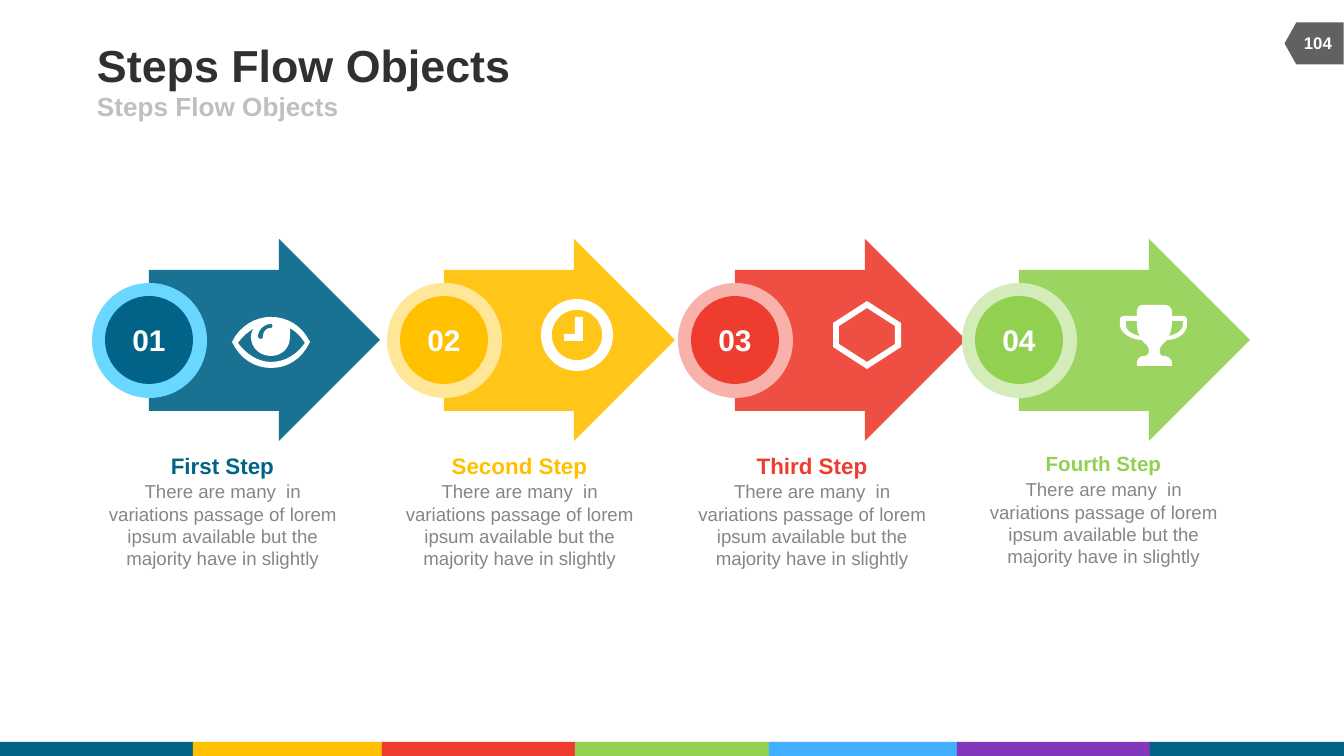
import pptx
import pptx.dml.color
import pptx.enum.shapes
import pptx.enum.text
import pptx.oxml.ns
import pptx.util
from lxml import etree

SCALE = 914400 / 134.4  # EMU in one px
FONT = "Arial"
SHAPE = pptx.enum.shapes.MSO_SHAPE
ALIGN = pptx.enum.text.PP_ALIGN
ANCHOR = pptx.enum.text.MSO_ANCHOR

COLORS = {
    "teal": "006387", "amber": "FFC000", "red": "EE3C2E", "green": "92D050",
    "blue": "40AFFF", "purple": "8238BA", "white": "FFFFFF", "tag": "616161",
    "title": "303030", "subtitle": "BFBFBF", "body": "868686",
    "teal_ring": "69D7FF", "amber_ring": "FFE699",
    "red_ring": "F8B1AB", "green_ring": "D3ECB9",
}

STRIPES = [(0, "teal"), (193, "amber"), (382, "red"), (575, "green"),
           (769, "blue"), (957, "purple"), (1150, "teal")]

BODY = ("There are many  in variations passage of lorem ipsum available "
        "but the majority have in slightly")

# Color, arrow left, heading, heading width and size, caption left, top, width
STEPS = [
    ("teal", 149, "First Step", 105, 12, 103, 480, 239),
    ("amber", 444, "Second Step", 137, 12, 402, 480, 235),
    ("red", 735, "Third Step", 112, 12, 697, 480, 230),
    ("green", 1019, "Fourth Step", 117, 11, 985, 478, 237),
]

# Contours: a start point, then points (lines) or control triples (curves)
EYE = [
    [(310, 342), (302, 359, 288, 368, 271, 368), (255, 368, 240, 359, 232, 342),
     (240, 326, 255, 317, 271, 317), (288, 317, 302, 326, 310, 342)],
    [(289, 328), (291, 330, 290, 334, 290, 337), (290, 348, 282, 356, 271, 356),
     (260, 356, 251, 348, 251, 337), (251, 334, 252, 330, 255, 328),
     (249, 331, 242, 337, 238, 343), (246, 354, 258, 362, 271, 362),
     (286, 362, 297, 354, 305, 343), (301, 337, 296, 331, 289, 328)],
    [(271, 324), (265, 324, 258, 329, 258, 337), (258, 338, 260, 339, 261, 339),
     (262, 339, 263, 338, 263, 337), (263, 332, 266, 328, 271, 328),
     (273, 328, 273, 324, 271, 324)],
]
CLOCK_HANDS = [[(575, 317), (583, 317), (583, 341),
                (564, 341), (564, 334), (575, 334)]]
HEXAGON = [
    [(867, 301), (901, 323), (901, 347), (867, 369), (833, 347), (833, 323)],
    [(867, 308), (895, 326), (895, 344), (867, 362), (839, 344), (839, 326)],
]
TROPHY = [
    [(1187, 325), (1187, 332, 1179, 340, 1167, 340),
     (1164, 343, 1163, 344, 1163, 344), (1160, 347, 1160, 348, 1160, 351),
     (1160, 353, 1160, 356, 1164, 356), (1168, 356, 1172, 359, 1172, 363),
     (1172, 366), (1137, 366), (1137, 363), (1137, 359, 1140, 356, 1144, 356),
     (1148, 356, 1149, 353, 1149, 351), (1149, 348, 1148, 347, 1146, 344),
     (1145, 344, 1144, 343, 1142, 340), (1130, 340, 1120, 332, 1120, 325),
     (1120, 320), (1120, 317, 1122, 316, 1125, 316), (1137, 316), (1137, 312),
     (1137, 308, 1139, 305, 1143, 305), (1165, 305),
     (1169, 305, 1172, 308, 1172, 312), (1172, 316), (1183, 316),
     (1185, 316, 1187, 317, 1187, 320)],
    [(1137, 321), (1126, 321), (1126, 325), (1126, 330, 1131, 334, 1140, 336),
     (1137, 332, 1137, 327, 1137, 321)],
    [(1183, 321), (1172, 321), (1172, 327, 1171, 332, 1169, 336),
     (1177, 334, 1183, 330, 1183, 325)],
]


def px(value):
    return pptx.util.Emu(round(value * SCALE))


def rgb(name):
    return pptx.dml.color.RGBColor.from_string(COLORS[name])


def paint(s, color, opacity=100):
    s.shadow.inherit = False
    s.line.fill.background()
    s.fill.solid()
    s.fill.fore_color.rgb = rgb(color)
    if opacity < 100:
        clr = s.fill._xPr.find(".//" + pptx.oxml.ns.qn("a:srgbClr"))
        etree.SubElement(clr, pptx.oxml.ns.qn("a:alpha"), val=str(opacity * 1000))


def add_preset(slide, kind, left, top, width, height, color):
    s = slide.shapes.add_shape(kind, px(left), px(top), px(width), px(height))
    paint(s, color)
    return s


def write(s, text, size, color, bold=True, align=ALIGN.CENTER,
          anchor=ANCHOR.MIDDLE, wrap=True):
    tf = s.text_frame
    tf.margin_left = tf.margin_right = tf.margin_top = tf.margin_bottom = 0
    tf.word_wrap = wrap
    tf.vertical_anchor = anchor
    tf.text = text
    p = tf.paragraphs[0]
    p.alignment = align
    font = p.runs[0].font
    font.name, font.size, font.bold = FONT, pptx.util.Pt(size), bold
    font.color.rgb = rgb(color)


def add_text(slide, left, top, width, height, text, size, color, **style):
    s = slide.shapes.add_textbox(px(left), px(top), px(width), px(height))
    write(s, text, size, color, **style)


def trace(contour, pieces=8):
    """Turn a contour into points, cutting each curve into short lines."""
    points = [contour[0]]
    for segment in contour[1:]:
        if len(segment) == 2:
            points.append(segment)
            continue
        x0, y0 = points[-1]
        x1, y1, x2, y2, x3, y3 = segment
        for i in range(1, pieces + 1):
            t = i / pieces
            a, b, c, d = (1 - t)**3, 3 * t * (1 - t)**2, 3 * t**2 * (1 - t), t**3
            points.append((a * x0 + b * x1 + c * x2 + d * x3,
                           a * y0 + b * y1 + c * y2 + d * y3))
    return [(px(x), px(y)) for x, y in points]


def add_outline(slide, contours, color, opacity=100):
    first, *others = [trace(contour) for contour in contours]
    builder = slide.shapes.build_freeform(*first[0], scale=1.0)
    builder.add_line_segments(first[1:], close=True)
    for points in others:
        builder.move_to(*points[0])
        builder.add_line_segments(points[1:], close=True)
    paint(builder.convert_to_shape(), color, opacity)


def add_arrow(slide, left, color):
    neck, tip = left + 130, left + 231
    add_outline(slide, [[(left, 270), (neck, 270), (neck, 239), (tip, 340),
                         (neck, 441), (neck, 411), (left, 411)]], color, 90)


def add_badge(slide, center, number, color):
    add_preset(slide, SHAPE.OVAL, center - 57, 283, 115, 115, color + "_ring")
    disc = add_preset(slide, SHAPE.OVAL, center - 44, 296, 88, 88, color)
    write(disc, f"{number:02}", 16, "white")


def add_caption(slide, heading, heading_width, size, color, left, top, width):
    add_text(slide, left + (width - heading_width) / 2, top - 28, heading_width, 27,
             heading, size, color, wrap=False)
    add_text(slide, left, top, width, 90, BODY, 10, "body",
             bold=False, anchor=ANCHOR.TOP)


def main():
    prs = pptx.Presentation()
    prs.slide_width, prs.slide_height = px(1344), px(756)
    slide = prs.slides.add_slide(prs.slide_layouts[6])

    # Footer stripes and page tag
    for left, color in STRIPES:
        add_preset(slide, SHAPE.RECTANGLE, left, 742, 194, 14, color)
    tag = add_preset(slide, SHAPE.FLOWCHART_OFFPAGE_CONNECTOR, 1293, 14, 42, 59, "tag")
    tag.rotation = 90
    add_text(slide, 1290, 23, 56, 40, "104", 9, "white")

    # Titles
    add_text(slide, 97, 39, 829, 52, "Steps Flow Objects", 24, "title",
             align=ALIGN.LEFT)
    add_text(slide, 97, 91, 605, 30, "Steps Flow Objects", 14, "subtitle",
             align=ALIGN.LEFT)

    # Steps
    for number, step in enumerate(STEPS, 1):
        color, left, heading, heading_width, size, *caption_box = step
        add_arrow(slide, left, color)
        add_badge(slide, left, number, color)
        add_caption(slide, heading, heading_width, size, color, *caption_box)

    # Icons
    dial = add_preset(slide, SHAPE.DONUT, 541, 299, 72, 72, "white")
    dial.adjustments[0] = 0.15
    for icon in (EYE, CLOCK_HANDS, HEXAGON, TROPHY):
        add_outline(slide, icon, "white")

    prs.save("out.pptx")


if __name__ == "__main__":
    main()
